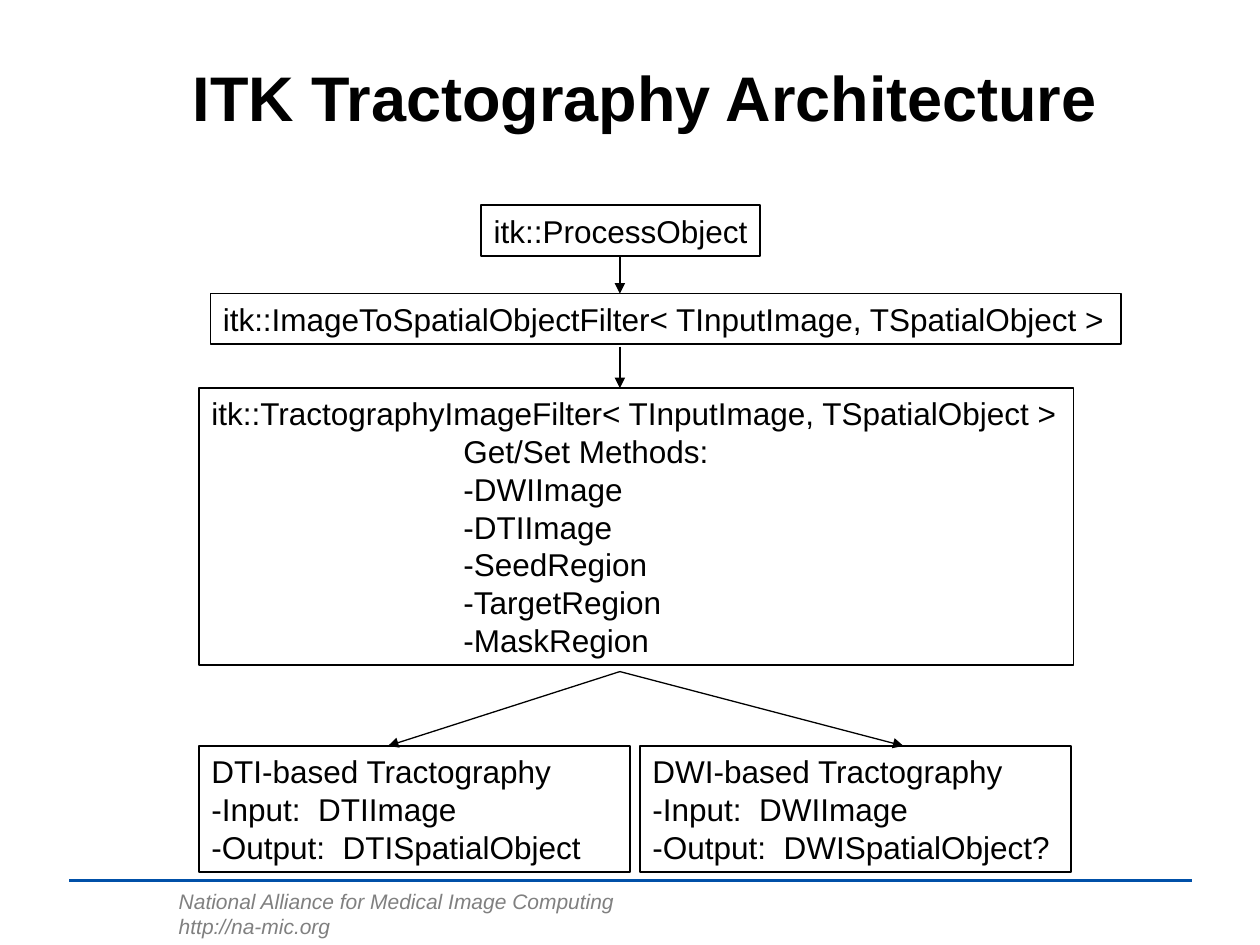
from dataclasses import dataclass

from lxml import etree
from pptx import Presentation
from pptx.dml.color import RGBColor
from pptx.enum.shapes import MSO_CONNECTOR as Connector, MSO_SHAPE as Shape
from pptx.enum.text import MSO_ANCHOR as Anchor, PP_ALIGN as Align
from pptx.oxml.ns import qn
from pptx.util import Inches, Pt


@dataclass(frozen=True)
class Theme:
    font: str = "Arial"
    black: RGBColor = RGBColor(0, 0, 0)
    gray: RGBColor = RGBColor(0x80, 0x80, 0x80)
    blue: RGBColor = RGBColor(0x00, 0x50, 0xA8)
    title_size: int = 36
    body_size: int = 18
    footer_size: int = 12


theme = Theme()


def write(shape, lines, size, color, wrap=True, bold=False, italic=False, indents=()):
    """Fill a shape with left-aligned lines; indents holds inches per line."""
    frame = shape.text_frame
    frame.word_wrap = wrap
    frame.vertical_anchor = Anchor.TOP
    for index, line in enumerate(lines):
        paragraph = frame.paragraphs[0] if index == 0 else frame.add_paragraph()
        paragraph.alignment = Align.LEFT
        if indents and indents[index]:
            properties = paragraph._p.get_or_add_pPr()
            properties.set("marL", str(Inches(indents[index])))
            properties.set("indent", "0")
        run = paragraph.add_run()
        run.text = line
        run.font.name = theme.font
        run.font.size = Pt(size)
        run.font.bold = bold
        run.font.italic = italic
        run.font.color.rgb = color


def connect(start, end, color, width, arrow=False):
    """Draw a straight line, with an arrowhead at its end if asked."""
    points = [Inches(value) for value in (*start, *end)]
    connector = slide.shapes.add_connector(Connector.STRAIGHT, *points)
    connector.line.color.rgb = color
    connector.line.width = Pt(width)
    if arrow:
        outline = connector.line._get_or_add_ln()
        etree.SubElement(outline, qn("a:tailEnd"), type="triangle")
    etree.SubElement(connector._element.spPr, qn("a:effectLst"))


presentation = Presentation()
presentation.slide_width = Inches(10)
presentation.slide_height = Inches(7.5)
slide = presentation.slides.add_slide(presentation.slide_layouts[6])

# Footer
connect((0.55, 6.99), (9.46, 6.99), theme.blue, 2)
footer = slide.shapes.add_textbox(Inches(1.32), Inches(7), Inches(3.71), Inches(0.5))
write(footer, ["National Alliance for Medical Image Computing", "http://na-mic.org"],
      theme.footer_size, theme.gray, wrap=False, italic=True)

# Title
title = slide.shapes.add_textbox(Inches(1.29), Inches(0.14), Inches(8.42), Inches(1.25))
title.text_frame.margin_left = Inches(0.24)
write(title, ["ITK Tractography Architecture"], theme.title_size, theme.black, bold=True)
title.text_frame.vertical_anchor = Anchor.MIDDLE

# Class boxes: left, top, width, height, lines, indent of the lines after the first
methods = ["DWIImage", "DTIImage", "SeedRegion", "TargetRegion", "MaskRegion"]
boxes = [
    (3.82, 1.63, 2.21, 0.4, ["itk::ProcessObject"], 0),
    (1.67, 2.33, 7.23, 0.4,
     ["itk::ImageToSpatialObjectFilter< TInputImage, TSpatialObject >"], 0),
    (1.58, 3.08, 6.94, 2.2,
     ["itk::TractographyImageFilter< TInputImage, TSpatialObject >",
      "Get/Set Methods:", *(f"-{name}" for name in methods)], 2),
]
for left, kind, mark in ((1.58, "DTI", ""), (5.08, "DWI", "?")):
    boxes.append((left, 5.92, 3.42, 1,
                  [f"{kind}-based Tractography", f"-Input:  {kind}Image",
                   f"-Output:  {kind}SpatialObject{mark}"], 0))

for left, top, width, height, lines, indent in boxes:
    box = slide.shapes.add_shape(Shape.RECTANGLE, Inches(left), Inches(top),
                                 Inches(width), Inches(height))
    box.shadow.inherit = False
    box.fill.background()
    box.line.color.rgb = theme.black
    box.line.width = Pt(1)
    write(box, lines, theme.body_size, theme.black, wrap=len(lines) > 1,
          indents=[0] + [indent] * (len(lines) - 1))

# Inheritance arrows
axis = 4.92
for start, end in (
    ((axis, 2.03), (axis, 2.33)),
    ((axis, 2.75), (axis, 3.08)),
    ((axis, 5.33), (3.08, 5.92)),
    ((axis, 5.33), (7.17, 5.92)),
):
    connect(start, end, theme.black, 0.75, arrow=True)

presentation.save("out.pptx")
